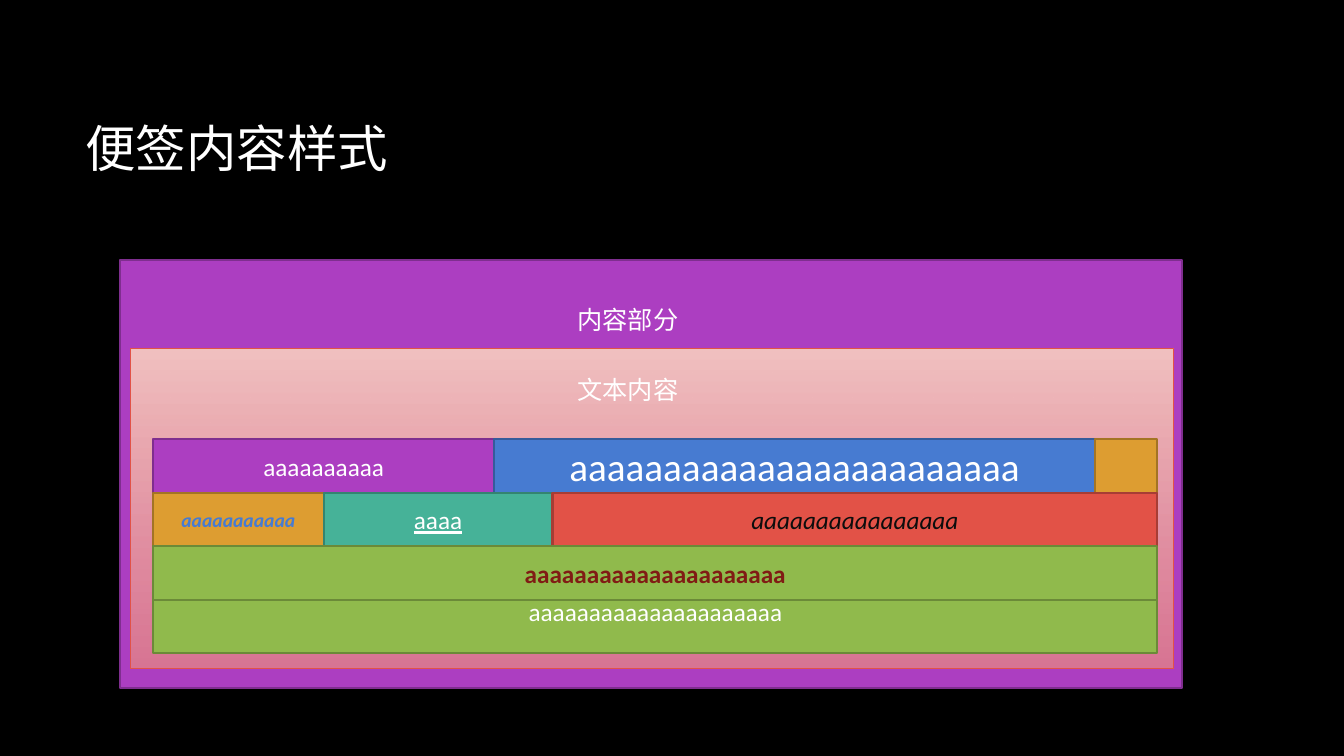
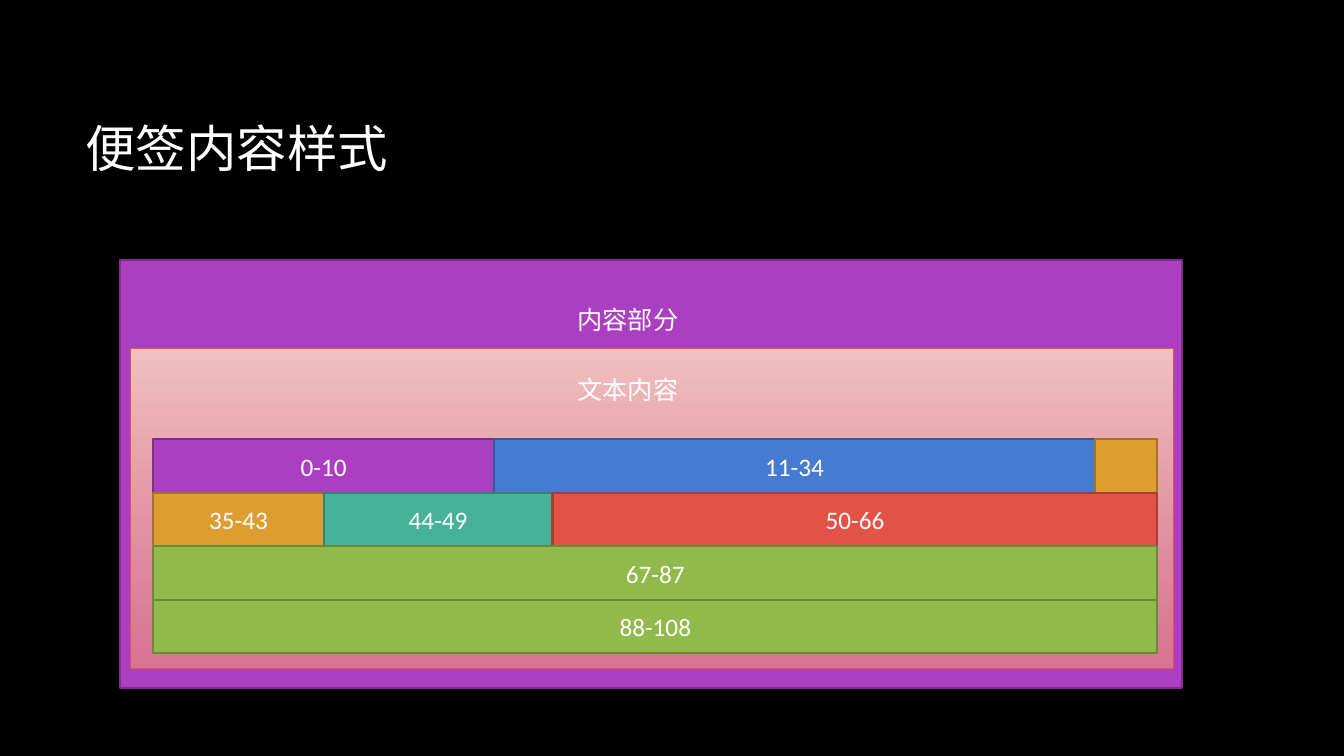
from dataclasses import dataclass, field
from typing import Any

from lxml.etree import SubElement
from pptx import Presentation
from pptx.dml.color import RGBColor
from pptx.enum.shapes import MSO_SHAPE as Shape
from pptx.enum.text import MSO_ANCHOR as Anchor, PP_ALIGN as Align
from pptx.oxml.ns import qn
from pptx.util import Inches, Pt

# Shared look
FONT = "Calibri"
WHITE, BLACK = "FFFFFF", "000000"
PURPLE = ("AC3EC1", "7F2E8F")  # fill, line
BLUE = ("477BD1", "355B9B")
GOLD = ("DD9D31", "A37424")
TEAL = ("46B298", "348470")
RED = ("E25247", "A73D35")
GREEN = ("90BA4C", "6B8A38")

# Rows of bars: width and colours of each bar
LEFT, TOP, STEP = 1.52, 4.36, 0.53
ROWS = [
    [(3.38, PURPLE), (5.96, BLUE), (0.62, GOLD)],
    [(1.69, GOLD), (2.27, TEAL), (6.0, RED)],
    [(9.96, GREEN)],
    [(9.96, GREEN)],
]


@dataclass
class Label:
    text: str = ""
    style: dict[str, Any] = field(default_factory=dict)
    lift: bool = False


def color(code: str) -> RGBColor:
    return RGBColor.from_string(code)


def write(shape, text: str, *, size: float = 18, hue: str = WHITE,
          bold: bool = False, italic: bool = False, under: bool = False,
          align=Align.LEFT, anchor=Anchor.TOP) -> None:
    frame = shape.text_frame
    frame.word_wrap = True
    frame.vertical_anchor = anchor
    para = frame.paragraphs[0]
    para.alignment = align
    run = para.add_run()
    run.text = text
    font = run.font
    font.name, font.size = FONT, Pt(size)
    font.bold, font.italic, font.underline = bold, italic, under
    font.color.rgb = color(hue)


def add_text(shapes, x: float, y: float, w: float, h: float,
             text: str, **style) -> None:
    box = shapes.add_textbox(Inches(x), Inches(y), Inches(w), Inches(h))
    write(box, text, **style)


def add_rect(shapes, x: float, y: float, w: float, h: float,
             line: str, width: float = 1.5, fill: str | None = None):
    rect = shapes.add_shape(Shape.RECTANGLE, Inches(x), Inches(y),
                            Inches(w), Inches(h))
    rect.shadow.inherit = False
    rect.line.color.rgb = color(line)
    rect.line.width = Pt(width)
    if fill:
        rect.fill.solid()
        rect.fill.fore_color.rgb = color(fill)
    return rect


def add_fade(shapes) -> None:
    rect = add_rect(shapes, 1.29, 3.46, 10.35, 3.17, RED[0], 0.75)
    rect.fill.gradient()
    rect.fill.gradient_angle = 270
    for stop, code in zip(rect.fill.gradient_stops, ("F2C2C0", "E88985")):
        stop.color.rgb = color(code)
    # The lower end lets some purple through
    last = list(rect.element.spPr.iter(qn("a:srgbClr")))[1]
    SubElement(last, qn("a:alpha")).set("val", "74000")


def add_bars(shapes, labels: list[Label]) -> None:
    queue = iter(labels)
    for i, row in enumerate(ROWS):
        x = LEFT
        for width, (fill, line) in row:
            bar = add_rect(shapes, x, TOP + i * STEP, width, STEP, line, fill=fill)
            label = next(queue)
            if label.text:
                write(bar, label.text, align=Align.CENTER,
                      anchor=Anchor.MIDDLE, **label.style)
            if label.lift:
                bar.text_frame.margin_top = 0
                bar.text_frame.margin_bottom = Inches(0.3)
            x += width


def add_slide(deck, labels: list[Label]) -> None:
    slide = deck.slides.add_slide(deck.slide_layouts[6])
    add_text(slide.shapes, 0.75, 0.67, 11.08, 1.59, "便签内容样式",
             size=36, anchor=Anchor.MIDDLE)
    shapes = slide.shapes.add_group_shape().shapes
    add_rect(shapes, 1.19, 2.58, 10.53, 4.25, PURPLE[1], fill=PURPLE[0])
    add_text(shapes, 5.63, 2.97, 4.29, 0.4, "内容部分")
    add_fade(shapes)
    add_text(shapes, 5.63, 3.66, 3.57, 0.4, "文本内容")
    add_bars(shapes, labels)


# Labels in bar order
STYLES = [
    Label("a" * 10),
    Label("a" * 24, {"size": 28}),
    Label(),
    Label("a" * 11, {"size": 14, "hue": BLUE[0], "bold": True, "italic": True}),
    Label("a" * 4, {"under": True}),
    Label("a" * 16, {"hue": "0D0D0D", "italic": True}),
    Label("a" * 21, {"hue": "801C14", "bold": True}),
    Label("a" * 21, lift=True),
]
SPANS = [Label(text) for text in
         ("0-10", "11-34", "", "35-43", "44-49", "50-66", "67-87", "88-108")]


def main() -> None:
    deck = Presentation()
    deck.slide_width, deck.slide_height = Inches(13.33), Inches(7.5)
    back = deck.slide_master.background.fill
    back.solid()
    back.fore_color.rgb = color(BLACK)
    for labels in (STYLES, SPANS):
        add_slide(deck, labels)
    deck.save("out.pptx")


if __name__ == "__main__":
    main()
